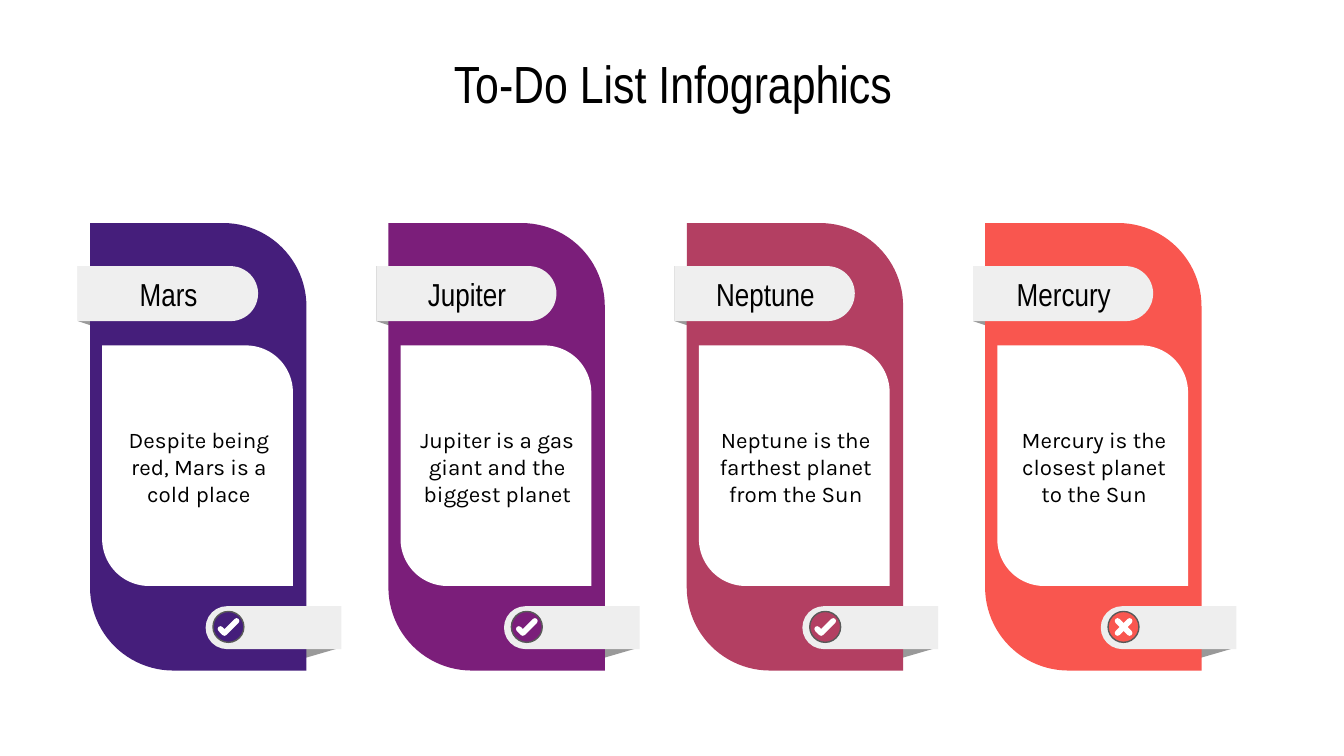
from lxml.etree import SubElement
from pptx import Presentation
from pptx.dml.color import RGBColor
from pptx.enum.shapes import MSO_SHAPE
from pptx.enum.text import MSO_ANCHOR, PP_ALIGN
from pptx.oxml.ns import qn
from pptx.util import Inches, Pt

SLIDE_WIDTH, SLIDE_HEIGHT = 10, 5.625
FIRST_CARD_LEFT, CARD_PITCH = 0.67, 2.22
CARD_TOP, CARD_WIDTH, CARD_HEIGHT = 1.66, 1.61, 3.33
HEADING_FONT, BODY_FONT = "Arial Narrow", "Karla"
BLACK, WHITE, SHADOW, OUTLINE = "000000", "FFFFFF", "999999", "595959"
LABEL_FILL, STATUS_FILL = "EFEFEF", "EEEEEE"

TICK = [[(0, 0.06), (0.03, 0.09), (0.12, 0)]]
CROSS = [[(0.015, 0.09), (0.105, 0)], [(0.105, 0.09), (0.015, 0)]]

CARDS = [
    ("Mars", "Despite being red, Mars is a cold place", "451E7B", TICK),
    ("Jupiter", "Jupiter is a gas giant and the biggest planet", "7B1E7A", TICK),
    ("Neptune", "Neptune is the farthest planet from the Sun", "B33F62", TICK),
    ("Mercury", "Mercury is the closest planet to the Sun", "F9564F", CROSS),
]


def color(hex_string):
    return RGBColor.from_string(hex_string)


def paint(shape, fill):
    shape.shadow.inherit = False
    shape.fill.solid()
    shape.fill.fore_color.rgb = color(fill)
    shape.line.fill.background()


def write(shape, text, font, size):
    """Set centred black text with even insets."""
    frame = shape.text_frame
    frame.text = text
    frame.word_wrap = True
    frame.vertical_anchor = MSO_ANCHOR.MIDDLE
    frame.margin_left = frame.margin_right = Inches(0.1)
    frame.margin_top = frame.margin_bottom = Inches(0.1)
    paragraph = frame.paragraphs[0]
    paragraph.alignment = PP_ALIGN.CENTER
    run_font = paragraph.runs[0].font
    run_font.name, run_font.size = font, Pt(size)
    run_font.color.rgb = color(BLACK)


def add_text(shapes, box, text, font, size):
    write(shapes.add_textbox(*map(Inches, box)), text, font, size)


def add_preset(shapes, preset, box, fill, adjustments=()):
    shape = shapes.add_shape(preset, *map(Inches, box))
    for index, value in enumerate(adjustments):
        shape.adjustments[index] = value
    paint(shape, fill)
    return shape


def add_leaf(shapes, box, fill, radius):
    """Add a panel rounded at top right and bottom left."""
    add_preset(shapes, MSO_SHAPE.ROUND_2_DIAG_RECTANGLE, box, fill,
               (0, radius / box[2]))


def add_tab(shapes, box, fill, rotation):
    """Add a strip with one round end: right at 90 degrees, left at 270."""
    left, top, width, height = box
    shift = (width - height) / 2
    upright = (left + shift, top - shift, height, width)
    tab = add_preset(shapes, MSO_SHAPE.ROUND_2_SAME_RECTANGLE, upright, fill, (0.5, 0))
    tab.rotation = rotation


def add_path(shapes, left, top, points, close):
    emu = [(Inches(left + x), Inches(top + y)) for x, y in points]
    builder = shapes.build_freeform(*emu[0])
    builder.add_line_segments(emu[1:], close=close)
    return builder.convert_to_shape()


def add_fold(shapes, left, top, width, height, drop):
    """Add a slanted strip; a negative drop rises to the right."""
    start, end = max(0, -drop), max(0, drop)
    points = [(0, start), (width, end), (width, end + height), (0, start + height)]
    paint(add_path(shapes, left, top, points, close=True), SHADOW)


def add_stroke(shapes, left, top, points):
    stroke = add_path(shapes, left, top, points, close=False)
    stroke.shadow.inherit = False
    stroke.fill.background()
    stroke.line.color.rgb = color(WHITE)
    stroke.line.width = Pt(3)
    line = stroke.line._get_or_add_ln()
    line.set("cap", "rnd")
    SubElement(line, qn("a:round"))


def add_status(shapes, left, accent, mark):
    add_tab(shapes, (left + 0.86, 4.51, 1.01, 0.32), STATUS_FILL, 270)
    badge = add_preset(shapes, MSO_SHAPE.OVAL, (left + 0.915, 4.55, 0.23, 0.23), accent)
    badge.line.color.rgb = color(OUTLINE)
    badge.line.width = Pt(0.75)
    for points in mark:
        add_stroke(shapes, left + 0.97, 4.62, points)


def add_card(slide, left, name, description, accent, mark):
    shapes = slide.shapes.add_group_shape().shapes
    label_left = left - 0.09
    add_fold(shapes, label_left, 1.98, 0.39, 0.41, 0.13)
    add_fold(shapes, left + 1.55, 4.62, 0.31, 0.2, -0.09)
    add_leaf(shapes, (left, CARD_TOP, CARD_WIDTH, CARD_HEIGHT), accent, 0.62)
    add_tab(shapes, (label_left, 1.98, 1.34, 0.41), LABEL_FILL, 90)
    add_status(shapes, left, accent, mark)
    add_leaf(shapes, (left + 0.09, 2.57, 1.42, 1.79), WHITE, 0.35)
    add_text(shapes, (label_left - 0.1, 1.98, 1.55, 0.41), name, HEADING_FONT, 17)
    add_text(shapes, (left + 0.1, 3.03, 1.42, 0.88), description, BODY_FONT, 12)


def add_title(slide, text):
    title = slide.shapes.title
    title.left, title.top = Inches(0.78), Inches(0.35)
    title.width, title.height = Inches(8.45), Inches(0.53)
    write(title, text, HEADING_FONT, 28)


def main():
    presentation = Presentation()
    presentation.slide_width = Inches(SLIDE_WIDTH)
    presentation.slide_height = Inches(SLIDE_HEIGHT)
    slide = presentation.slides.add_slide(presentation.slide_layouts[5])
    add_title(slide, "To-Do List Infographics")
    for column, card in enumerate(CARDS):
        add_card(slide, FIRST_CARD_LEFT + column * CARD_PITCH, *card)
    presentation.save("out.pptx")


if __name__ == "__main__":
    main()
